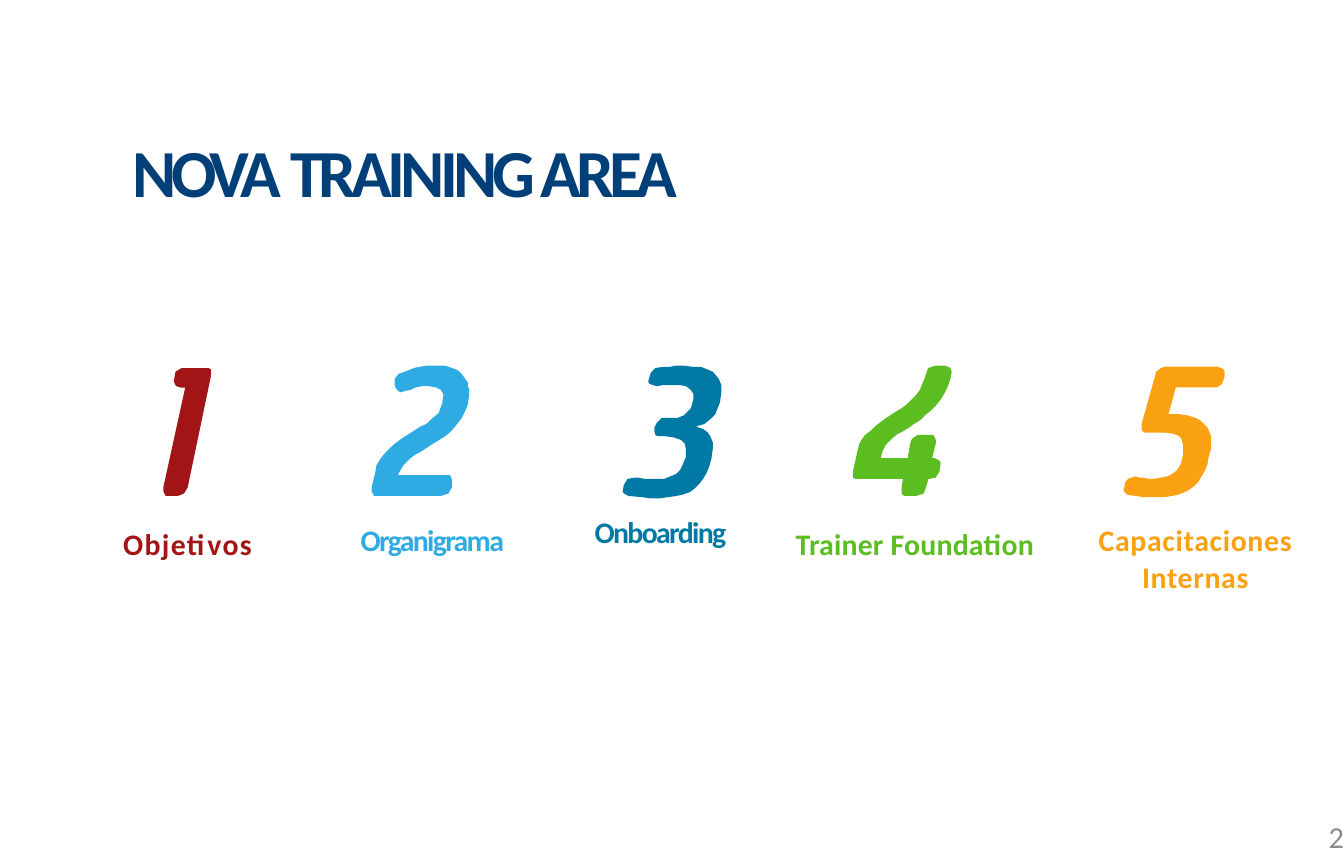
from dataclasses import dataclass

from pptx import Presentation
from pptx.dml.color import RGBColor
from pptx.enum import text as t
from pptx.util import Inches, Pt

FONT = "Calibri"
NAVY = RGBColor(0x00, 0x3F, 0x77)
GRAY = RGBColor(0x8C, 0x8C, 0x8C)
RED = RGBColor(0xA3, 0x14, 0x16)
SKY = RGBColor(0x2E, 0xAB, 0xE3)
TEAL = RGBColor(0x00, 0x7A, 0xA5)
GREEN = RGBColor(0x5C, 0xBD, 0x21)
ORANGE = RGBColor(0xFA, 0xA1, 0x12)
LEFT, CENTER, RIGHT = t.PP_ALIGN.LEFT, t.PP_ALIGN.CENTER, t.PP_ALIGN.RIGHT

# Outlines of the numerals: "x,y" in hundredths of an inch from the top left
ONE = [
    "34,2 18,2 15,2 10,5 9,11 9,14 10,16 11,17 14,18 18,18 0,100 0,103 1,105 "
    "2,107 6,107 12,107 17,105 20,100 39,9 39,5 39,3 37,2",
]
TWO = [
    "79,17 47,17 53,18 57,20 59,24 58,30 58,31 55,39 48,45 45,48 40,50 31,56 "
    "26,59 22,62 18,65 14,69 10,73 7,77 4,82 3,88 0,100 0,103 1,105 2,107 "
    "5,107 57,107 63,105 66,100 66,94 65,91 64,90 61,90 22,90 22,89 26,82 "
    "32,76 36,73 40,71 49,65 54,62 59,59 63,56 67,52 71,47 74,43 77,37 79,32 "
    "80,24 80,19",
    "53,0 46,0 40,1 35,2 30,4 22,7 19,11 19,15 19,16 20,19 22,21 24,22 27,21 "
    "32,20 36,18 41,17 47,17 79,17 79,14 74,7 71,4 66,2 60,0",
]
THREE = [
    "10,92 4,93 1,98 0,103 1,105 5,107 16,108 23,109 30,109 37,108 44,107 "
    "49,106 55,104 59,101 63,97 66,93 27,93 22,93 18,93 13,92",
    "81,16 40,16 47,16 52,17 56,20 58,23 58,28 56,35 50,41 45,43 38,43 35,43 "
    "32,43 28,47 26,51 26,54 27,57 29,58 32,58 35,58 42,59 48,61 51,64 52,69 "
    "52,75 49,82 47,86 44,89 39,91 34,93 27,93 66,93 69,88 71,83 73,76 74,68 "
    "74,63 72,58 70,55 66,52 60,50 67,48 72,44 76,40 78,35 80,30 81,22",
    "50,0 44,0 39,1 34,1 27,2 23,6 21,13 22,15 25,16 28,17 33,16 36,16 40,16 "
    "81,16 79,11 74,5 69,3 64,1 57,1",
]
FOUR = [
    "62,93 41,93 40,100 40,103 40,105 42,107 45,107 52,107 58,105 60,100",
    "75,0 68,0 65,1 62,2 61,4 60,7 59,10 57,15 55,20 52,24 48,28 44,32 40,35 "
    "35,38 26,44 22,47 18,50 14,54 10,57 7,61 5,65 4,69 0,87 0,90 0,92 2,93 "
    "5,93 63,93 68,92 71,87 72,80 71,78 69,77 67,76 23,76 24,71 27,65 33,59 "
    "37,56 41,54 46,51 50,48 55,45 59,41 64,37 68,33 72,28 75,23 78,17 80,11 "
    "81,5 80,2 78,1",
    "63,57 56,57 53,57 50,59 48,61 47,64 45,76 65,76 68,64 68,61 67,59 66,57",
]
FIVE = [
    "10,91 7,92 4,93 2,95 1,98 1,99 0,102 1,104 3,106 10,107 16,108 22,108 "
    "28,108 34,108 40,107 45,106 50,104 54,102 58,99 62,95 63,93 25,93 21,93 "
    "16,92 13,92",
    "77,1 34,1 31,2 27,5 15,48 15,51 15,53 17,55 20,55 34,55 41,56 46,58 "
    "48,61 49,66 49,73 47,81 44,86 40,89 36,91 31,92 25,93 63,93 67,86 69,81 "
    "70,75 72,68 72,63 72,58 69,51 63,45 59,43 53,41 46,40 37,40 43,18 74,18 "
    "77,18 81,15 83,9 83,5 82,3 80,2",
]


@dataclass
class Topic:
    box: tuple            # left, top, width, height of numeral and label
    numeral: list
    numeral_left: float   # from the left of the box
    label_top: float      # from the top of the box
    lines: list
    color: RGBColor
    tracking: float
    align: int = LEFT
    line_spacing: float = None


TOPICS = [
    Topic((0.99, 3, 1.49, 1.6), ONE, 0.35, 1.29, ["Objetivos"], RED, 0.8),
    Topic((2.94, 3, 1.29, 1.57), TWO, 0.11, 1.26, ["Organigrama"], SKY, -1),
    Topic((4.86, 3, 1.29, 1.73), THREE, 0.25, 1.26, ["Onboarding"], TEAL, -1,
          line_spacing=16.3),
    Topic((6.51, 3, 2.06, 1.6), FOUR, 0.49, 1.29, ["Trainer Foundation"],
          GREEN, 0.1),
    Topic((8.94, 3, 1.72, 1.88), FIVE, 0.28, 1.26,
          ["Capacitaciones", "Internas"], ORANGE, 0.4, CENTER),
]


def add_text(slide, box, lines, size, color, bold=True, align=LEFT,
             line_spacing=None):
    """Each line is a list of (wording, letter spacing in points) runs."""
    frame = slide.shapes.add_textbox(*map(Inches, box)).text_frame
    frame.word_wrap = True
    frame.auto_size = t.MSO_AUTO_SIZE.SHAPE_TO_FIT_TEXT
    frame.margin_left = Inches(0.02 if bold else 0)
    frame.margin_top = Inches(0.02 if bold else 0)
    frame.margin_right = frame.margin_bottom = 0
    for index, line in enumerate(lines):
        paragraph = frame.add_paragraph() if index else frame.paragraphs[0]
        paragraph.alignment = align
        paragraph.space_before = Pt(1.1 if bold else 0)
        if line_spacing:
            paragraph.line_spacing = Pt(line_spacing)
        for wording, tracking in line:
            run = paragraph.add_run()
            run.text = wording
            run.font.name = FONT
            run.font.size = Pt(size)
            run.font.bold = bold
            run.font.color.rgb = color
            run.font._element.set("spc", str(round(tracking * 100)))


def add_numeral(slide, left, top, outlines, color):
    contours = [[tuple(map(int, point.split(","))) for point in outline.split()]
                for outline in outlines]
    builder = slide.shapes.build_freeform(*contours[0][0], scale=Inches(0.01))
    for index, (start, *rest) in enumerate(contours):
        if index:
            builder.move_to(*start)
        builder.add_line_segments(rest, close=True)
    numeral = builder.convert_to_shape(Inches(left), Inches(top))
    numeral.shadow.inherit = False
    numeral.fill.solid()
    numeral.fill.fore_color.rgb = color
    numeral.line.fill.background()


def add_topic(slide, topic):
    left, top, width, height = topic.box
    add_numeral(slide, left + topic.numeral_left, top, topic.numeral, topic.color)
    label_box = (left, top + topic.label_top, width, height - topic.label_top)
    add_text(slide, label_box, [[(line, topic.tracking)] for line in topic.lines],
             17.6, topic.color, align=topic.align,
             line_spacing=topic.line_spacing)


def add_heading(slide, box):
    add_text(slide, box, [[("NOVA ", -3.4), ("TRAINING AREA", -2.9)]], 39.7, NAVY)


def add_page_number(slide, box):
    add_text(slide, box, [[("2", 0)]], 18, GRAY, bold=False, align=RIGHT)


deck = Presentation()
deck.slide_width, deck.slide_height = Inches(11.03), Inches(7.09)
agenda = deck.slides.add_slide(deck.slide_layouts[6])
add_page_number(agenda, (8.55, 6.71, 2.48, 0.3))
add_heading(agenda, (1.07, 1.05, 5.56, 0.68))
for topic in TOPICS:
    add_topic(agenda, topic)
deck.save("out.pptx")
